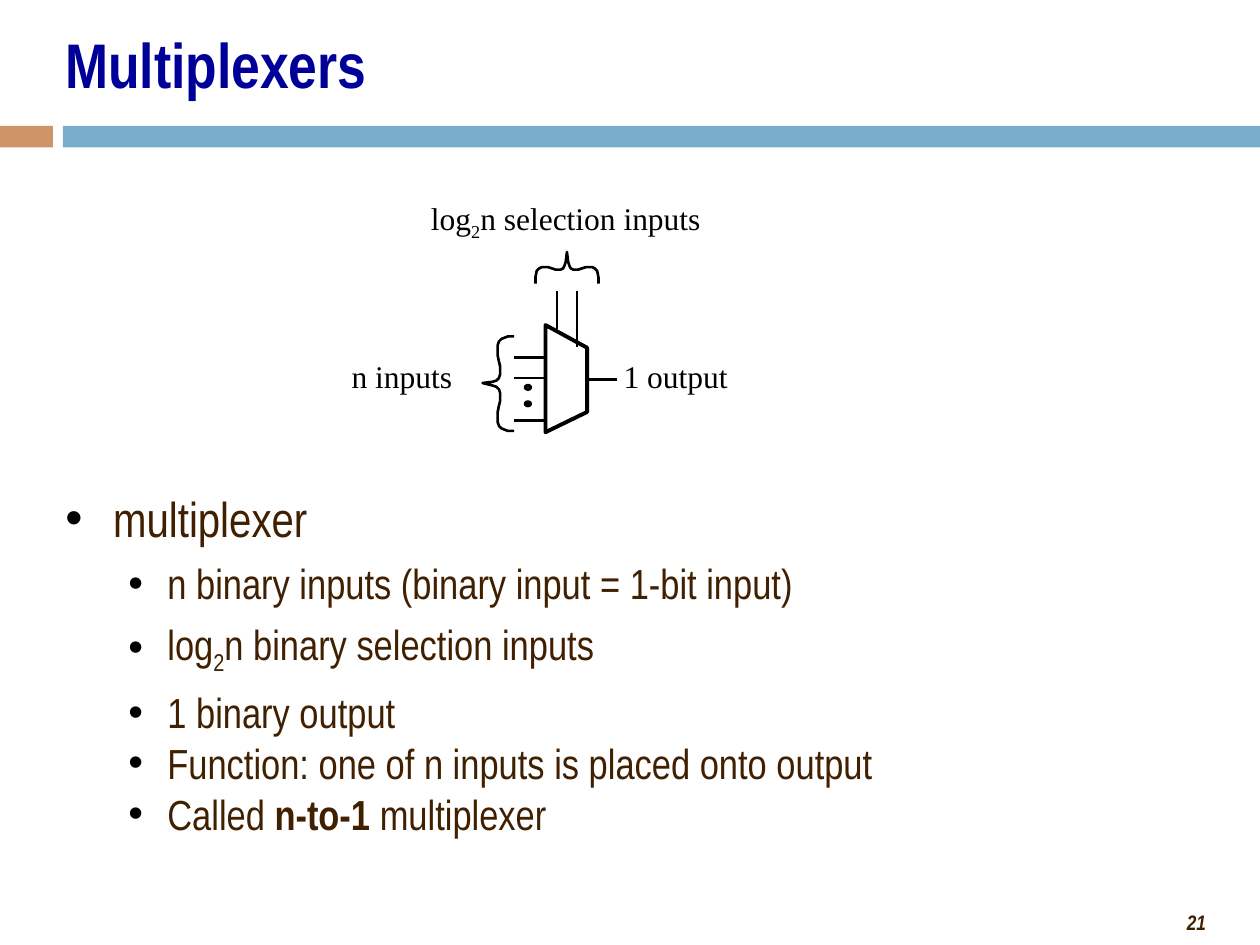
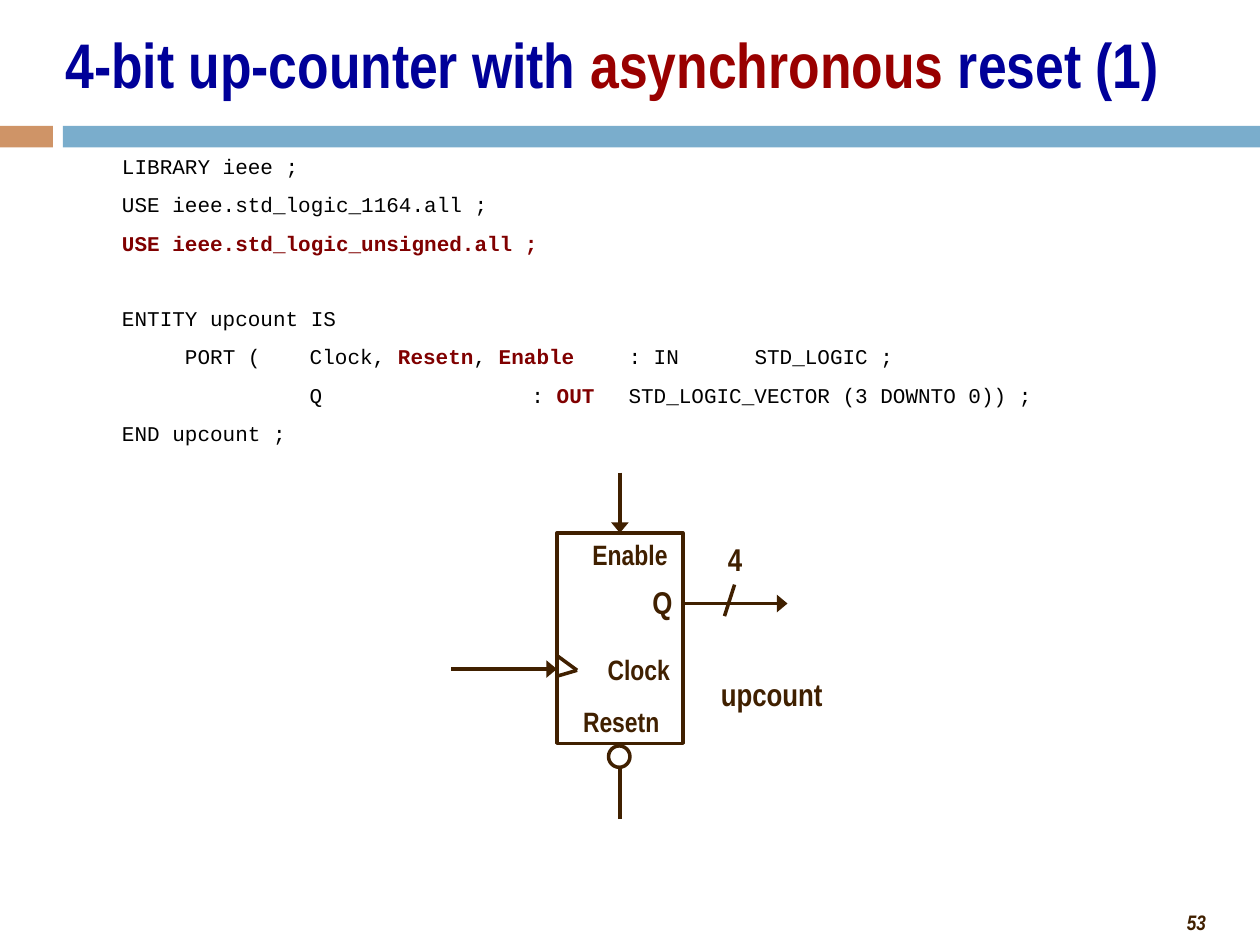
from dataclasses import dataclass
from typing import NamedTuple

from lxml.etree import SubElement
from pptx import Presentation
from pptx.dml.color import RGBColor
from pptx.enum.shapes import MSO_CONNECTOR, MSO_SHAPE
from pptx.enum.text import MSO_ANCHOR, PP_ALIGN
from pptx.oxml.ns import qn
from pptx.util import Emu, Pt

PX = 9144  # 100 px to the inch
COLORS = {
    "title": "000099",
    "title_accent": "990000",
    "text": "402000",
    "code": "000000",
    "code_accent": "800000",
    "ink": "000000",
    "band_tab": "CF9467",
    "band": "7AADCC",
}
CODE_TABS = (50, 101, 149, 200, 250, 300, 325, 402, 502)
INSETS = (10, 5)
FLUSH = (0, 0)


class Box(NamedTuple):
    left: int
    top: int
    width: int
    height: int


class Run(NamedTuple):
    text: str
    color: str = ""
    bold: bool = False
    subscript: bool = False


class Wire(NamedTuple):
    x1: int
    y1: int
    x2: int
    y2: int
    arrow: bool = False


@dataclass(frozen=True)
class Style:
    font: str
    size: int
    color: str
    bold: bool = False
    italic: bool = False
    align: PP_ALIGN = PP_ALIGN.LEFT


@dataclass(frozen=True)
class Line:
    runs: tuple
    before: float = 0
    spacing: float = 1.0
    indent: int = 0
    hanging: int = 0
    level: int = 0
    tabs: tuple = ()


@dataclass(frozen=True)
class Label:
    box: Box
    runs: tuple
    style: Style
    insets: tuple = INSETS


TITLE = Style("Arial Narrow", 36, "title", bold=True)
PAGE = Style("Arial Narrow", 12, "text", bold=True, italic=True, align=PP_ALIGN.RIGHT)
TOPIC = Style("Arial Narrow", 28, "text")
POINT = Style("Arial Narrow", 24, "text")
CODE = Style("Courier New", 12, "code")
CAPTION = Style("Times New Roman", 18, "ink")
PIN = Style("Arial Narrow", 16, "text", bold=True, align=PP_ALIGN.CENTER)
SIGNAL = Style("Arial Narrow", 18, "text", bold=True, align=PP_ALIGN.CENTER)

# Half of a brace outline: percent of its depth and of its length
BRACE_HALF = (
    (100, 0), (80, 0), (60, 3), (52, 5), (48, 9), (48, 20), (52, 27),
    (56, 32), (56, 40), (52, 44), (44, 47), (32, 48), (0, 50),
)


def rgb(name: str) -> RGBColor:
    return RGBColor.from_string(COLORS[name])


def px(*lengths: int) -> list:
    return [Emu(length * PX) for length in lengths]


# Text

def format_paragraph(paragraph, line: Line, style: Style) -> None:
    props = paragraph._p.get_or_add_pPr()
    if line.hanging:
        props.set("marL", str(line.indent * PX))
        props.set("indent", str(-line.hanging * PX))
        bullet_color = SubElement(props, qn("a:buClr"))
        SubElement(bullet_color, qn("a:srgbClr"), val=COLORS["ink"])
        SubElement(props, qn("a:buFont"), typeface="Arial")
        SubElement(props, qn("a:buChar"), char="•")
    if line.tabs:
        stops = SubElement(props, qn("a:tabLst"))
        for stop in line.tabs:
            SubElement(stops, qn("a:tab"), pos=str(stop * PX), algn="l")
    formats = {
        "alignment": style.align,
        "level": line.level,
        "line_spacing": line.spacing,
        "space_before": Pt(line.before),
    }
    for name, value in formats.items():
        setattr(paragraph, name, value)


def add_runs(paragraph, runs: tuple, style: Style) -> None:
    for item in runs:
        part = item if isinstance(item, Run) else Run(item)
        run = paragraph.add_run()
        run.text = part.text
        formats = {
            "name": style.font,
            "size": Pt(style.size),
            "bold": style.bold or part.bold,
            "italic": style.italic,
        }
        for name, value in formats.items():
            setattr(run.font, name, value)
        run.font.color.rgb = rgb(part.color or style.color)
        if part.subscript:
            run.font._element.set("baseline", "-25000")


def add_text(slide, box: Box, lines: list, insets: tuple = INSETS,
             wrap: bool = True, anchor: MSO_ANCHOR = MSO_ANCHOR.TOP) -> None:
    """Draw (Line, Style) pairs as the paragraphs of one text box."""
    frame = slide.shapes.add_textbox(*px(*box)).text_frame
    side, edge = px(*insets)
    formats = {
        "word_wrap": wrap,
        "vertical_anchor": anchor,
        "margin_left": side,
        "margin_right": side,
        "margin_top": edge,
        "margin_bottom": edge,
    }
    for name, value in formats.items():
        setattr(frame, name, value)
    for index, (line, style) in enumerate(lines):
        paragraph = frame.add_paragraph() if index else frame.paragraphs[0]
        format_paragraph(paragraph, line, style)
        add_runs(paragraph, line.runs, style)


def add_label(slide, label: Label) -> None:
    add_text(slide, label.box, [(Line(label.runs), label.style)], label.insets, wrap=False)


# Drawing

def outline(shape, color: str, weight: float):
    shape.shadow.inherit = False
    shape.fill.background()
    shape.line.color.rgb = rgb(color)
    shape.line.width = Pt(weight)
    return shape


def add_outlined(slide, kind: MSO_SHAPE, box: Box, color: str, weight: float):
    return outline(slide.shapes.add_shape(kind, *px(*box)), color, weight)


def add_wire(slide, wire: Wire, color: str, weight: float):
    ends = px(wire.x1, wire.y1, wire.x2, wire.y2)
    connector = slide.shapes.add_connector(MSO_CONNECTOR.STRAIGHT, *ends)
    connector.line.color.rgb = rgb(color)
    connector.line.width = Pt(weight)
    if wire.arrow:
        SubElement(connector.line._get_or_add_ln(), qn("a:tailEnd"), type="triangle", w="lg")
    SubElement(connector._element.spPr, qn("a:effectLst"))
    return connector


def add_outline(slide, points: list, weight: float, close: bool) -> None:
    builder = slide.shapes.build_freeform(*points[0], scale=PX)
    builder.add_line_segments(points[1:], close=close)
    outline(builder.convert_to_shape(), "ink", weight)


def add_brace(slide, box: Box, tip_up: bool) -> None:
    mirrored = [(depth, 100 - along) for depth, along in BRACE_HALF[-2::-1]]
    profile = [*BRACE_HALF, *mirrored]
    if tip_up:
        profile = [(along, depth) for depth, along in profile]
    points = [(box.left + box.width * x / 100, box.top + box.height * y / 100)
              for x, y in profile]
    add_outline(slide, points, 1.5, close=False)


# Slides

def add_page(deck, title: tuple, number: str):
    slide = deck.slides.add_slide(deck.slide_layouts[6])
    add_text(slide, Box(750, 717, 217, 30), [(Line((number,)), PAGE)])
    for box, color in ((Box(0, 100, 42, 17), "band_tab"), (Box(50, 100, 950, 17), "band")):
        band = slide.shapes.add_shape(MSO_SHAPE.RECTANGLE, *px(*box))
        band.shadow.inherit = False
        band.fill.solid()
        band.fill.fore_color.rgb = rgb(color)
        band.line.fill.background()
    add_text(slide, Box(42, 8, 917, 84), [(Line(title), TITLE)], anchor=MSO_ANCHOR.MIDDLE)
    return slide


def add_multiplexers(deck) -> None:
    slide = add_page(deck, ("Multiplexers",), "21")
    two = Run("2", subscript=True)

    # Explanation
    points = (
        (("n binary inputs (binary input = 1-bit input)",), 1.0),
        (("log", two, "n binary selection inputs"), 1.0),
        (("1 binary output",), 1.0),
        (("Function: one of n inputs is placed onto output",), 0.8),
        (("Called ", Run("n-to-1", bold=True), " multiplexer"), 0.8),
    )
    lines = [(Line(("multiplexer",), spacing=0.8, indent=38, hanging=38), TOPIC)]
    lines += [(Line(runs, 6, spacing, 81, 31, level=1), POINT) for runs, spacing in points]
    add_text(slide, Box(42, 392, 858, 283), lines)

    # Symbol: data inputs, output, then selection inputs
    inputs = [Wire(408, y, 433, y) for y in (284, 300, 334)]
    selections = [Wire(442, 231, 442, 261), Wire(458, 231, 458, 275)]
    for wire in (*inputs, Wire(490, 301, 466, 301), *selections):
        add_wire(slide, wire, "ink", 1.5)
    add_outline(slide, [(466, 327), (466, 276), (433, 258), (433, 343)], 2.25, close=True)
    for top in (306, 319):
        add_outlined(slide, MSO_SHAPE.OVAL, Box(417, top, 4, 3), "ink", 1.87)
    add_brace(slide, Box(383, 267, 25, 75), tip_up=False)
    add_brace(slide, Box(425, 200, 50, 25), tip_up=True)

    for label in (
        Label(Box(279, 283, 96, 30), ("n inputs",), CAPTION, FLUSH),
        Label(Box(495, 283, 100, 30), ("1 output",), CAPTION, FLUSH),
        Label(Box(342, 158, 252, 34), ("log", two, "n selection inputs"), CAPTION, FLUSH),
    ):
        add_label(slide, label)


def add_up_counter(deck) -> None:
    title = ("4-bit up-counter with ", Run("asynchronous", "title_accent"), " reset (1)")
    slide = add_page(deck, title, "53")

    # Entity declaration
    def key(text: str) -> Run:
        return Run(text, "code_accent", bold=True)

    gap, section_gap = 7.5, 28.6
    code = (
        (("LIBRARY ieee ;",), 0),
        (("USE ieee.std_logic_1164.all ;",), gap),
        ((key("USE ieee.std_logic_unsigned.all ;"),), gap),
        (("ENTITY upcount IS",), section_gap),
        (("\tPORT ( \tClock, ", key("Resetn"), ", ", key("Enable \t"),
          ": IN \tSTD_LOGIC ;"), gap),
        (("\t\t\tQ \t\t\t\t: ", key("OUT \t"), "STD_LOGIC_VECTOR (3 DOWNTO 0)) ;"), gap),
        (("END upcount ;",), gap),
    )
    add_text(slide, Box(87, 117, 800, 243),
             [(Line(runs, before, tabs=CODE_TABS), CODE) for runs, before in code])

    # Counter block with its reset bubble
    counter = add_outlined(slide, MSO_SHAPE.RECTANGLE, Box(442, 423, 100, 167), "text", 2)
    add_outlined(slide, MSO_SHAPE.OVAL, Box(483, 592, 17, 17), "text", 2)
    enable = add_wire(slide, Wire(492, 375, 492, 423, arrow=True), "text", 2)
    enable.end_connect(counter, 0)
    for wire in (
        Wire(542, 479, 625, 479, arrow=True),  # Q
        Wire(583, 464, 575, 489),  # bus width mark
        Wire(358, 531, 442, 531, arrow=True),  # clock
        Wire(443, 521, 458, 532),  # clock edge mark
        Wire(441, 537, 458, 532),
        Wire(492, 650, 492, 608),  # reset
    ):
        add_wire(slide, wire, "text", 2)

    for label in (
        Label(Box(446, 422, 108, 37), ("Enable",), PIN),
        Label(Box(453, 513, 108, 37), ("Clock",), PIN),
        Label(Box(439, 554, 108, 37), ("Resetn",), PIN),
        Label(Box(508, 458, 33, 40), ("Q",), SIGNAL),
        Label(Box(567, 424, 33, 40), ("4",), SIGNAL),
        Label(Box(552, 531, 121, 40), ("upcount",), SIGNAL),
    ):
        add_label(slide, label)


def main() -> None:
    deck = Presentation()
    deck.slide_width, deck.slide_height = px(1000, 750)
    add_multiplexers(deck)
    add_up_counter(deck)
    deck.save("out.pptx")


if __name__ == "__main__":
    main()
